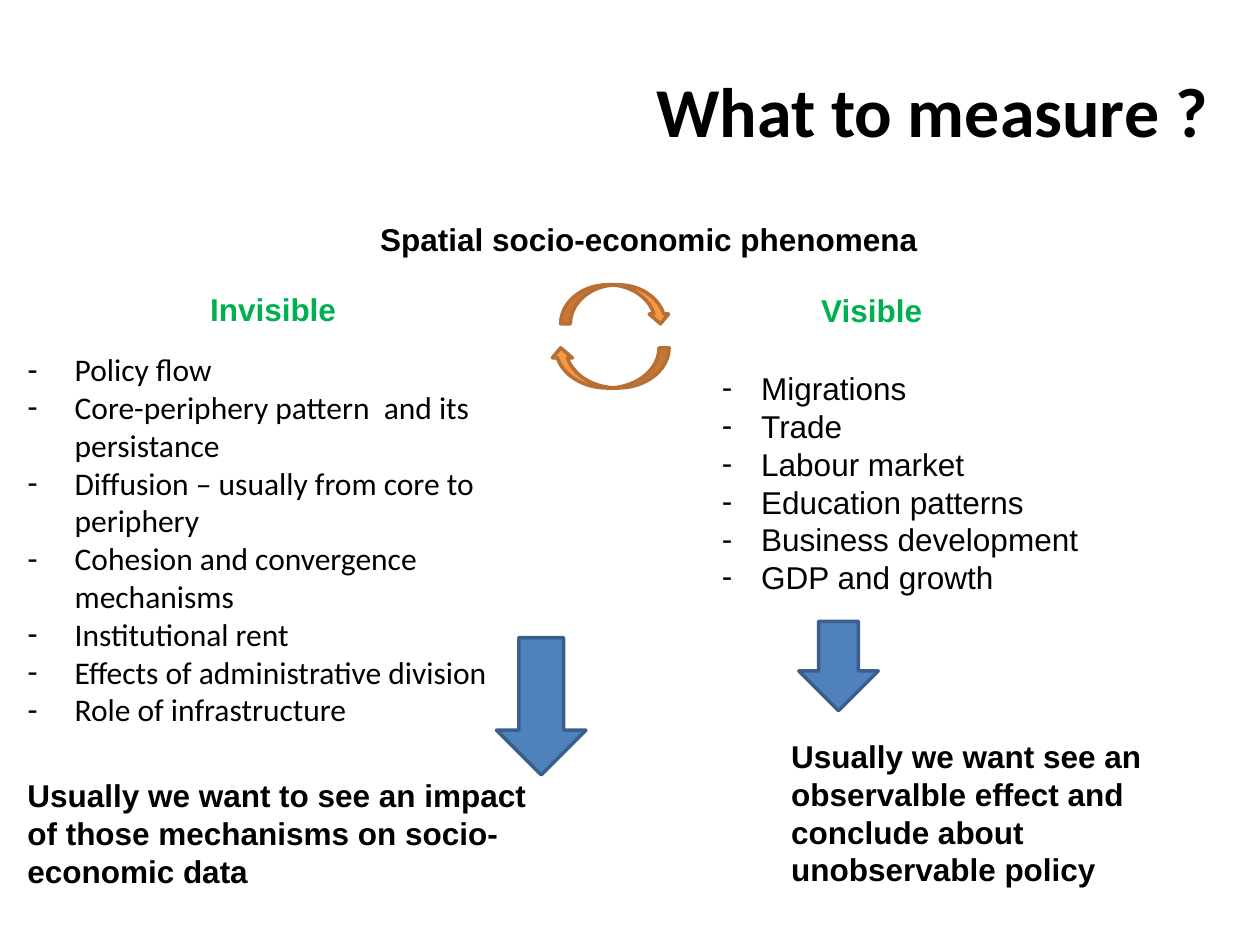
import pptx
import pptx.dml.color
import pptx.enum.shapes
import pptx.enum.text
import pptx.oxml
import pptx.oxml.ns
import pptx.util

Pt = pptx.util.Pt
RGBColor = pptx.dml.color.RGBColor
SHAPE = pptx.enum.shapes.MSO_SHAPE

COLORS = {
    "text": "000000",
    "heading": "00B050",
    "blue": "4F81BD",
    "blue line": "3A5F8C",
    "orange": "F79646",
    "orange line": "B76F34",
}


def add_text(box, lines, color="text", font="Arial", bold=True, indent=0):
    """Add a text box with one paragraph per line; an indent makes dash bullets."""
    shape = slide.shapes.add_textbox(*map(Pt, box))
    frame = shape.text_frame
    frame.word_wrap = True
    frame.auto_size = pptx.enum.text.MSO_AUTO_SIZE.SHAPE_TO_FIT_TEXT
    frame.text = "\n".join(lines)
    for paragraph in frame.paragraphs:
        paragraph.font.name = font
        paragraph.font.size = Pt(18)
        paragraph.font.bold = bold
        paragraph.font.color.rgb = RGBColor.from_string(COLORS[color])
        if indent:
            properties = paragraph._p.get_or_add_pPr()
            properties.set("marL", str(Pt(indent)))
            properties.set("indent", str(-Pt(indent)))
            namespace = pptx.oxml.ns.nsdecls("a")
            bullet_font = f'<a:buFont {namespace} typeface="Arial"/>'
            bullet = f'<a:buChar {namespace} char="-"/>'
            properties.insert(0, pptx.oxml.parse_xml(bullet_font))
            properties.insert(1, pptx.oxml.parse_xml(bullet))


presentation = pptx.Presentation()
presentation.slide_width = Pt(720)
presentation.slide_height = Pt(540)
slide = presentation.slides.add_slide(presentation.slide_layouts[5])

title = slide.shapes.title
title.left, title.top, title.width, title.height = map(Pt, (144.7, 17.3, 561.6, 90))
title.text_frame.text = "What to measure ? "
title.text_frame.vertical_anchor = pptx.enum.text.MSO_ANCHOR.MIDDLE
paragraph = title.text_frame.paragraphs[0]
paragraph.alignment = pptx.enum.text.PP_ALIGN.RIGHT
paragraph.font.name = "Calibri"
paragraph.font.size = Pt(40)
paragraph.font.bold = True
paragraph.font.color.rgb = RGBColor.from_string(COLORS["text"])

add_text((210.2, 122.4, 324.7, 29), ["Spatial socio-economic phenomena"])

# Invisible side
add_text((113, 162, 103, 29), ["Invisible"], color="heading")
add_text(
    (8.6, 196.6, 311.8, 225.4),
    [
        "Policy flow",
        "Core-periphery pattern  and its persistance",
        "Diffusion – usually from core to periphery",
        "Cohesion and convergence mechanisms",
        "Institutional rent",
        "Effects of administrative division",
        "Role of infrastructure",
    ],
    font="Calibri", bold=False, indent=27,
)

# Visible side
add_text((462.2, 162.7, 103, 29), ["Visible"], color="heading")
add_text(
    (405.4, 207.4, 277.9, 159.8),
    [
        "Migrations",
        "Trade",
        "Labour market",
        "Education patterns",
        "Business development",
        "GDP and growth",
    ],
    bold=False, indent=22.5,
)

arrows = [
    (SHAPE.DOWN_ARROW, (283.7, 364.3, 51.1, 78.5), 0, "blue"),
    (SHAPE.DOWN_ARROW, (456.5, 355, 45.4, 51.1), 0, "blue"),
    (SHAPE.CURVED_LEFT_ARROW, (337, 176.4, 23, 67.7), 90, "orange"),
    (SHAPE.CURVED_DOWN_ARROW, (320.4, 162.7, 62.6, 22.3), 0, "orange"),
]
for kind, box, rotation, color in arrows:
    arrow = slide.shapes.add_shape(kind, *map(Pt, box))
    arrow.rotation = rotation
    arrow.shadow.inherit = False
    arrow.fill.solid()
    arrow.fill.fore_color.rgb = RGBColor.from_string(COLORS[color])
    arrow.line.color.rgb = RGBColor.from_string(COLORS[color + " line"])
    arrow.line.width = Pt(2)

# Conclusions
add_text(
    (8.6, 439.9, 300.2, 72.7),
    ["Usually we want to see an impact of those mechanisms on socio-economic data"],
)
add_text(
    (445, 417.6, 262.8, 94.3),
    ["Usually we want see an observalble effect and conclude about unobservable policy"],
)

presentation.save("out.pptx")
